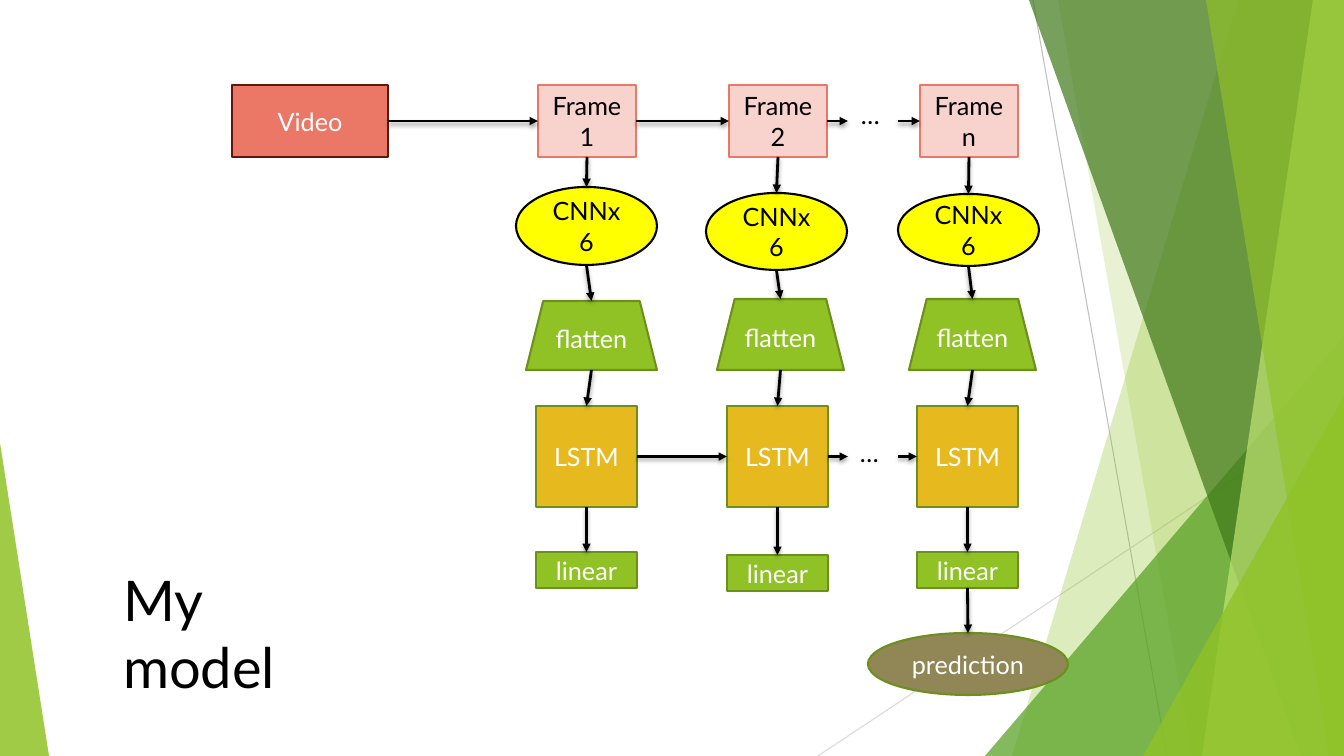
from lxml.etree import SubElement
from pptx import Presentation
from pptx.dml.color import RGBColor
from pptx.enum.shapes import MSO_CONNECTOR, MSO_SHAPE as Shape
from pptx.enum.text import MSO_ANCHOR as Anchor, MSO_AUTO_SIZE as AutoSize, PP_ALIGN as Align
from pptx.oxml.ns import qn
from pptx.util import Pt

PX = 914400 / 100.8
WIDTH, HEIGHT = 1344, 756
FONT = "Lato"
TOP, LEFT, BOTTOM, RIGHT = range(4)

BLACK = RGBColor(0x00, 0x00, 0x00)
WHITE = RGBColor(0xFF, 0xFF, 0xFF)
YELLOW = RGBColor(0xFF, 0xFF, 0x00)
GOLD = RGBColor(0xE6, 0xB9, 0x1E)
OLIVE = RGBColor(0x91, 0x86, 0x55)
CORAL = RGBColor(0xEB, 0x77, 0x66)
PINK = RGBColor(0xF8, 0xD2, 0xCC)
MAROON = RGBColor(0x62, 0x17, 0x0D)
LIME = RGBColor(0x90, 0xC2, 0x26)
PALE_LIME = RGBColor(0xC0, 0xE4, 0x74)
MOSS = RGBColor(0x6B, 0x90, 0x1C)
GREEN = RGBColor(0x54, 0xA0, 0x21)
FOREST = RGBColor(0x3F, 0x78, 0x19)
GREY = RGBColor(0xBF, 0xBF, 0xBF)
PALE_GREY = RGBColor(0xD9, 0xD9, 0xD9)

# Background: thin lines, then facets from back to front.
# A panel is (top left x, bottom left x) and reaches the right edge;
# a triangle is (left, top, width, height, apex).
THIN_LINES = [((1033, 0), (1167, 756), GREY), ((1344, 406), (818, 756), PALE_GREY)]
FACETS = [
    ((1238, 1012), LIME, 30),
    ((1058, 1192), LIME, 20),
    ((985, 336, 359, 420, 1), GREEN, 72),
    ((1029, 1301), FOREST, 70),
    ((1313, 1202), PALE_LIME, 70),
    ((1206, 1329), LIME, 65),
    ((1143, 396, 201, 360, 1), LIME, 80),
    ((0, 443, 49, 313, 0), LIME, 85),
]

# Stages from top to bottom: name, shape, fill, line, text colour,
# labels and (left, top, width, height) for each of the three columns.
STAGES = [
    ("frame", Shape.RECTANGLE, PINK, CORAL, BLACK, ["Frame 1", "Frame 2", "Frame n"],
     [(538, 85, 98, 72), (729, 85, 98, 72), (920, 85, 98, 72)]),
    ("cnn", Shape.OVAL, YELLOW, BLACK, BLACK, ["CNNx6"] * 3,
     [(516, 187, 141, 78), (706, 193, 141, 77), (898, 194, 141, 72)]),
    ("flatten", Shape.TRAPEZOID, LIME, MOSS, WHITE, ["flatten"] * 3,
     [(526, 301, 131, 69), (717, 299, 127, 71), (909, 299, 127, 71)]),
    ("lstm", Shape.RECTANGLE, GOLD, MOSS, WHITE, ["LSTM"] * 3,
     [(536, 406, 101, 101), (727, 406, 101, 101), (917, 406, 101, 101)]),
    ("linear", Shape.RECTANGLE, LIME, MOSS, WHITE, ["linear"] * 3,
     [(536, 552, 101, 36), (727, 555, 101, 36), (917, 552, 101, 36)]),
]
VIDEO = (232, 85, 156, 72)
PREDICTION = (868, 633, 200, 62)
ELLIPSES = [(851, 94, 45, 40), (850, 432, 45, 40)]
GAP_START, GAP_END = 848, 898
TITLE = ("My model", (113, 560, 254, 78))


def emu(*lengths):
    return [round(length * PX) for length in lengths]


def write(shape, text, size=18, color=BLACK, align=Align.LEFT, anchor=Anchor.TOP,
          wrap=True, auto_size=AutoSize.NONE):
    frame = shape.text_frame
    frame.word_wrap, frame.auto_size, frame.vertical_anchor = wrap, auto_size, anchor
    para = frame.paragraphs[0]
    para.alignment = align
    span = para.add_run()
    span.text = text
    span.font.name, span.font.size, span.font.color.rgb = FONT, Pt(size), color


def add_box(page, kind, place, fill, line, text, color):
    box = page.shapes.add_shape(kind, *emu(*place))
    box.shadow.inherit = False
    box.fill.solid()
    box.fill.fore_color.rgb = fill
    box.line.color.rgb = line
    box.line.width = Pt(1.5)
    write(box, text, color=color, align=Align.CENTER, anchor=Anchor.MIDDLE)
    return box


def add_line(page, start, end, color, width):
    line = page.shapes.add_connector(MSO_CONNECTOR.STRAIGHT, *emu(*start, *end))
    line.line.color.rgb = color
    line.line.width = Pt(width)
    return line, SubElement(line._element.spPr, qn("a:effectLst"))


def side_middle(box, side):
    x, y = box.left / PX, box.top / PX
    w, h = box.width / PX, box.height / PX
    return [(x + w / 2, y), (x, y + h / 2), (x + w / 2, y + h), (x + w, y + h / 2)][side]


def add_arrow(page, start, end):
    """Each end is a point or a (box, side) pair."""
    points = [end_ if isinstance(end_[0], (int, float)) else side_middle(*end_)
              for end_ in (start, end)]
    arrow, effects = add_line(page, *points, BLACK, 2)
    SubElement(arrow.line._get_or_add_ln(), qn("a:tailEnd"), type="triangle")
    shadow = SubElement(effects, qn("a:outerShdw"), blurRad="38100", dist="25400",
                        dir="5400000", rotWithShape="0")
    black = SubElement(shadow, qn("a:srgbClr"), val=str(BLACK))
    SubElement(black, qn("a:alpha"), val="35000")
    for joint, connect in ((start, arrow.begin_connect), (end, arrow.end_connect)):
        if not isinstance(joint[0], (int, float)) and joint[0].auto_shape_type == Shape.RECTANGLE:
            connect(*joint)


def add_facet(page, outline, color, opacity):
    if len(outline) == 2:
        top_x, bottom_x = outline
        builder = page.shapes.build_freeform(top_x, 0, scale=PX)
        builder.add_line_segments([(WIDTH, 0), (WIDTH, HEIGHT), (bottom_x, HEIGHT)], close=True)
        facet = builder.convert_to_shape()
    else:
        facet = page.shapes.add_shape(Shape.ISOSCELES_TRIANGLE, *emu(*outline[:4]))
        facet.adjustments[0] = outline[4]
    facet.shadow.inherit = False
    facet.line.fill.background()
    facet.fill.solid()
    facet.fill.fore_color.rgb = color
    solid = facet._element.spPr.find(qn("a:solidFill"))
    SubElement(solid[0], qn("a:alpha"), val=str(opacity * 1000))


def main():
    deck = Presentation()
    deck.slide_width, deck.slide_height = emu(WIDTH, HEIGHT)
    page = deck.slides.add_slide(deck.slide_layouts[5])

    # Background
    for start, end, color in THIN_LINES:
        add_line(page, start, end, color, 0.75)
    for facet in FACETS:
        add_facet(page, *facet)

    # Title
    text, place = TITLE
    title = page.shapes.title
    title.left, title.top, title.width, title.height = emu(*place)
    write(title, text, size=40, auto_size=AutoSize.SHAPE_TO_FIT_TEXT)

    # Boxes of the model
    rows = {}
    for name, kind, fill, line, color, labels, places in STAGES:
        rows[name] = [add_box(page, kind, spot, fill, line, label, color)
                      for spot, label in zip(places, labels)]
    video = add_box(page, Shape.RECTANGLE, VIDEO, CORAL, MAROON, "Video", WHITE)
    prediction = add_box(page, Shape.OVAL, PREDICTION, OLIVE, MOSS, "prediction", WHITE)
    for place in ELLIPSES:
        write(page.shapes.add_textbox(*emu(*place)), "…", wrap=False,
              auto_size=AutoSize.SHAPE_TO_FIT_TEXT)

    # Arrows down each column
    for column in zip(*rows.values()):
        for upper, lower in zip(column, column[1:]):
            add_arrow(page, (upper, BOTTOM), (lower, TOP))
    add_arrow(page, (rows["linear"][-1], BOTTOM), (prediction, TOP))

    # Arrows along the frame and LSTM rows
    add_arrow(page, (video, RIGHT), (rows["frame"][0], LEFT))
    for name in ("frame", "lstm"):
        first, second, last = rows[name]
        middle = side_middle(second, RIGHT)[1]
        add_arrow(page, (first, RIGHT), (second, LEFT))
        add_arrow(page, (second, RIGHT), (GAP_START, middle))
        add_arrow(page, (GAP_END, middle), (last, LEFT))

    deck.save("out.pptx")


if __name__ == "__main__":
    main()
